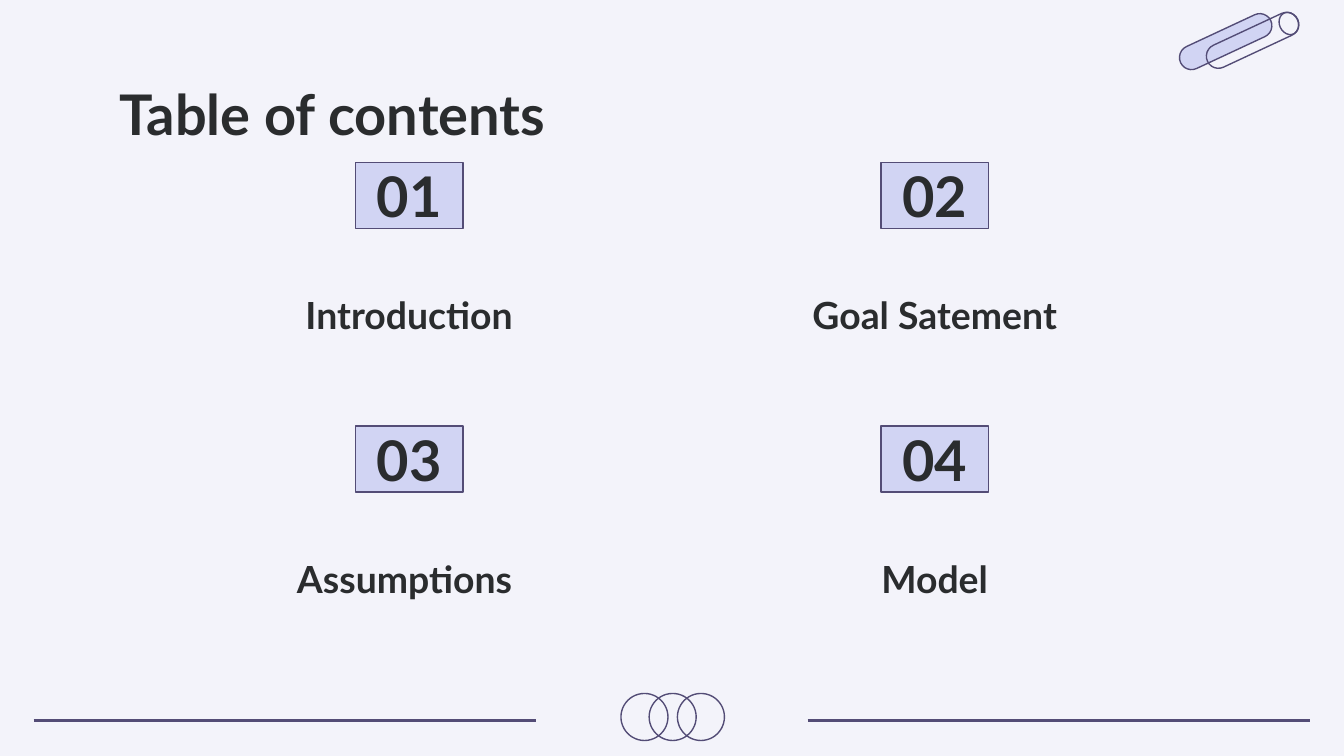
from pptx import Presentation
from pptx.dml.color import RGBColor
from pptx.enum.shapes import MSO_CONNECTOR, MSO_SHAPE
from pptx.enum.text import MSO_ANCHOR, PP_ALIGN
from pptx.oxml.ns import qn
from pptx.util import Inches, Pt
from lxml import etree

PAPER = RGBColor(0xF3, 0xF3, 0xFA)
LILAC = RGBColor(0xD1, 0xD4, 0xF3)
PURPLE = RGBColor(0x53, 0x4C, 0x76)
INK = RGBColor(0x2A, 0x2C, 0x2E)
RECT, OVAL, PILL = MSO_SHAPE.RECTANGLE, MSO_SHAPE.OVAL, MSO_SHAPE.ROUNDED_RECTANGLE
TOP, MIDDLE, BOTTOM = MSO_ANCHOR.TOP, MSO_ANCHOR.MIDDLE, MSO_ANCHOR.BOTTOM
LEFT, CENTER = PP_ALIGN.LEFT, PP_ALIGN.CENTER
STRAIGHT = MSO_CONNECTOR.STRAIGHT

# Widescreen slide, 16 to 9
prs = Presentation()
prs.slide_width, prs.slide_height = Inches(10), Inches(10 * 9 / 16)
slide = prs.slides.add_slide(prs.slide_layouts[6])
slide.background.fill.solid()
slide.background.fill.fore_color.rgb = PAPER


def draw(kind, x, y, w, h, fill=None, turn=0):
    shape = slide.shapes.add_shape(kind, Inches(x), Inches(y), Inches(w), Inches(h))
    shape.shadow.inherit = False
    shape.rotation = turn
    if fill is None:
        shape.fill.background()
    else:
        shape.fill.solid()
        shape.fill.fore_color.rgb = fill
    shape.line.color.rgb = PURPLE
    shape.line.width = Pt(0.75)
    return shape


def write(shape, text, size, anchor, align, space=1.0):
    frame = shape.text_frame
    frame.word_wrap = True
    frame.vertical_anchor = anchor
    frame.margin_left = frame.margin_right = Inches(0.1)
    frame.margin_top = frame.margin_bottom = Inches(0.1)
    para = frame.paragraphs[0]
    para.alignment = align
    para.line_spacing = space
    run = para.add_run()
    run.text = text
    run.font.name = "Lato"
    run.font.size = Pt(size)
    run.font.bold = True
    run.font.color.rgb = INK


# Tilted pills in the top corner
for x, y, fill in ((8.75, 0.22, LILAC), (8.95, 0.21, None)):
    pill = draw(PILL, x, y, 0.74, 0.18, fill, -25)
    pill.adjustments[0] = 0.5
draw(OVAL, 9.52, 0.09, 0.14, 0.17, turn=-25)

# Footer lines and rings
for x in (0.25, 6.01):
    line = slide.shapes.add_connector(
        STRAIGHT, Inches(x), Inches(5.36), Inches(x + 3.74), Inches(5.36))
    line.line.color.rgb = PURPLE
    line.line.width = Pt(1.5)
    etree.SubElement(line._element.spPr, qn("a:effectLst"))
for x in (4.62, 4.83, 5.04):
    draw(OVAL, x, 5.16, 0.35, 0.35)

# Title
title = slide.shapes.add_textbox(Inches(0.79), Inches(0.49), Inches(8.43), Inches(0.63))
write(title, "Table of contents", 30, TOP, LEFT)

# Numbered topics, two by two, each number centred over its label
wide, box = 3.27, 0.8
topics = ("Introduction", "Goal Satement", "Assumptions ", "Model")
for i, topic in enumerate(topics):
    row, col = divmod(i, 2)
    x, y = 1.41 + col * 3.91, 1.21 + row * 1.96
    number = draw(RECT, x + (wide - box) / 2, y, box, 0.49, LILAC)
    write(number, f"{i + 1:02}", 30, MIDDLE, CENTER)
    label = slide.shapes.add_textbox(Inches(x), Inches(y + 0.57), Inches(wide), Inches(0.83))
    write(label, topic, 20, BOTTOM, CENTER, 1.15)

prs.save("out.pptx")
